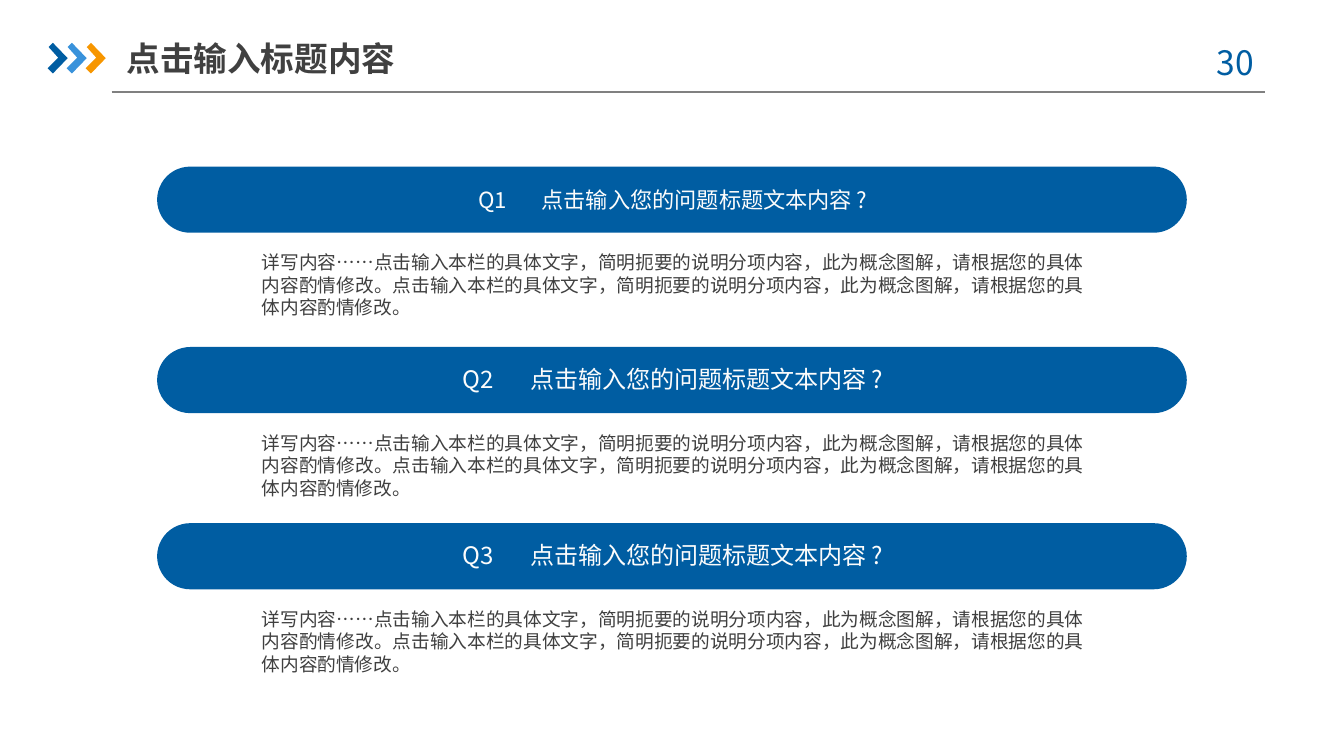
from dataclasses import dataclass
from pptx import Presentation
from pptx.dml.color import RGBColor
from pptx.enum.shapes import MSO_CONNECTOR as Wire, MSO_SHAPE as Shape
from pptx.enum.text import MSO_ANCHOR as Anchor, MSO_AUTO_SIZE as Fit, PP_ALIGN as Align
from pptx.oxml.ns import qn
from pptx.util import Cm, Pt
from lxml.etree import SubElement

FONT = "Noto Sans CJK SC"
BLUE = RGBColor(0x00, 0x5D, 0xA2)
SKY = RGBColor(0x39, 0x92, 0xDB)
GOLD = RGBColor(0xF7, 0x96, 0x00)
GREY = RGBColor(0x80, 0x80, 0x80)
DARK = RGBColor(0x40, 0x40, 0x40)
PALE = RGBColor(0xFC, 0xFC, 0xFC)

ASK = "点击输入您的问题标题文本内容 ?"
CLAUSE = "点击输入本栏的具体文字，简明扼要的说明分项内容，此为概念图解，请根据您的具体内容酌情修改。"
DETAIL = "详写内容……" + CLAUSE * 2
ARROW = [(0.02, 0.08), (0.1, 0), (0.38, 0.29), (0.1, 0.58), (0, 0.48), (0.2, 0.28)]
FRAME = {
    "word_wrap": True, "auto_size": Fit.NONE, "vertical_anchor": Anchor.MIDDLE,
    "margin_left": 0, "margin_right": 0, "margin_top": 0, "margin_bottom": 0,
}


@dataclass
class Box:
    left: float
    top: float
    width: float
    height: float

    def lengths(self) -> list:
        return [Cm(v) for v in (self.left, self.top, self.width, self.height)]


@dataclass
class Style:
    size: float
    color: RGBColor
    align: Align
    bold: bool = False
    pitch: float = 1.0


@dataclass
class Query:
    tag: str
    top: float
    size: float
    pitch: float


def assign(target, values: dict) -> None:
    for key, value in values.items():
        setattr(target, key, value)


def add_run(para, text: str, style: Style):
    run = para.add_run()
    run.text = text
    assign(run.font, {"name": FONT, "size": Pt(style.size), "bold": style.bold})
    run.font.color.rgb = style.color
    SubElement(run.font._element, qn("a:ea"), typeface=FONT)
    return run


def write(shape, texts: list[str], style: Style, **extra) -> list:
    assign(shape.text_frame, FRAME | extra)
    para = shape.text_frame.paragraphs[0]
    assign(para, {"alignment": style.align, "line_spacing": style.pitch})
    return [add_run(para, text, style) for text in texts]


def paint(shape, color: RGBColor) -> None:
    shape.shadow.inherit = False
    shape.fill.solid()
    shape.fill.fore_color.rgb = color
    shape.line.fill.background()


def draw_arrow(shapes, left: float, top: float, color: RGBColor) -> None:
    points = [(Cm(left + x), Cm(top + y)) for x, y in ARROW]
    pen = shapes.build_freeform(*points[0])
    pen.add_line_segments(points[1:], close=True)
    paint(pen.convert_to_shape(), color)


def draw_head(slide) -> None:
    rule = slide.shapes.add_connector(Wire.STRAIGHT, Cm(2.11), Cm(1.74), Cm(23.9), Cm(1.74))
    rule.line.color.rgb = GREY
    rule.line.width = Pt(0.75)
    SubElement(rule._element.spPr, qn("a:effectLst"))
    group = slide.shapes.add_group_shape()
    for i, color in enumerate((BLUE, SKY, GOLD)):
        draw_arrow(group.shapes, 0.9 + 0.36 * i, 0.81, color)
    page = slide.shapes.add_textbox(*Box(22.42, 0.66, 1.85, 1.02).lengths())
    write(page, ["30"], Style(18, BLUE, Align.CENTER))
    title = slide.shapes.title
    assign(title, dict(zip(("left", "top", "width", "height"), Box(2.39, 0.56, 5.92, 1.07).lengths())))
    write(title, ["点击输入标题内容"], Style(18, DARK, Align.LEFT, bold=True))


def draw_query(slide, query: Query) -> None:
    bar = slide.shapes.add_shape(Shape.ROUNDED_RECTANGLE, *Box(2.97, query.top, 19.46, 1.25).lengths())
    bar.adjustments[0] = 0.5
    paint(bar, BLUE)
    detail = slide.shapes.add_textbox(*Box(4.95, query.top + 1.6, 15.52, 1.55).lengths())
    write(detail, [DETAIL], Style(10, DARK, Align.JUSTIFY), vertical_anchor=Anchor.TOP)
    label = slide.shapes.add_textbox(*Box(8.51, query.top + 0.2, 8.41, 0.86).lengths())
    style = Style(query.size, PALE, Align.CENTER, pitch=query.pitch)
    gap = write(label, [query.tag, " ", ASK], style)[1]
    gap.font._element.set("spc", str(round(query.size * 134)))


def main() -> None:
    deck = Presentation()
    assign(deck, {"slide_width": Cm(25.4), "slide_height": Cm(14.29)})
    slide = deck.slides.add_slide(deck.slide_layouts[5])
    draw_head(slide)
    for query in (
        Query("Q1", 3.15, 11.9, 1.0),
        Query("Q2", 6.56, 12.9, 0.9),
        Query("Q3", 9.89, 12.9, 0.9),
    ):
        draw_query(slide, query)
    deck.save("out.pptx")


if __name__ == "__main__":
    main()
